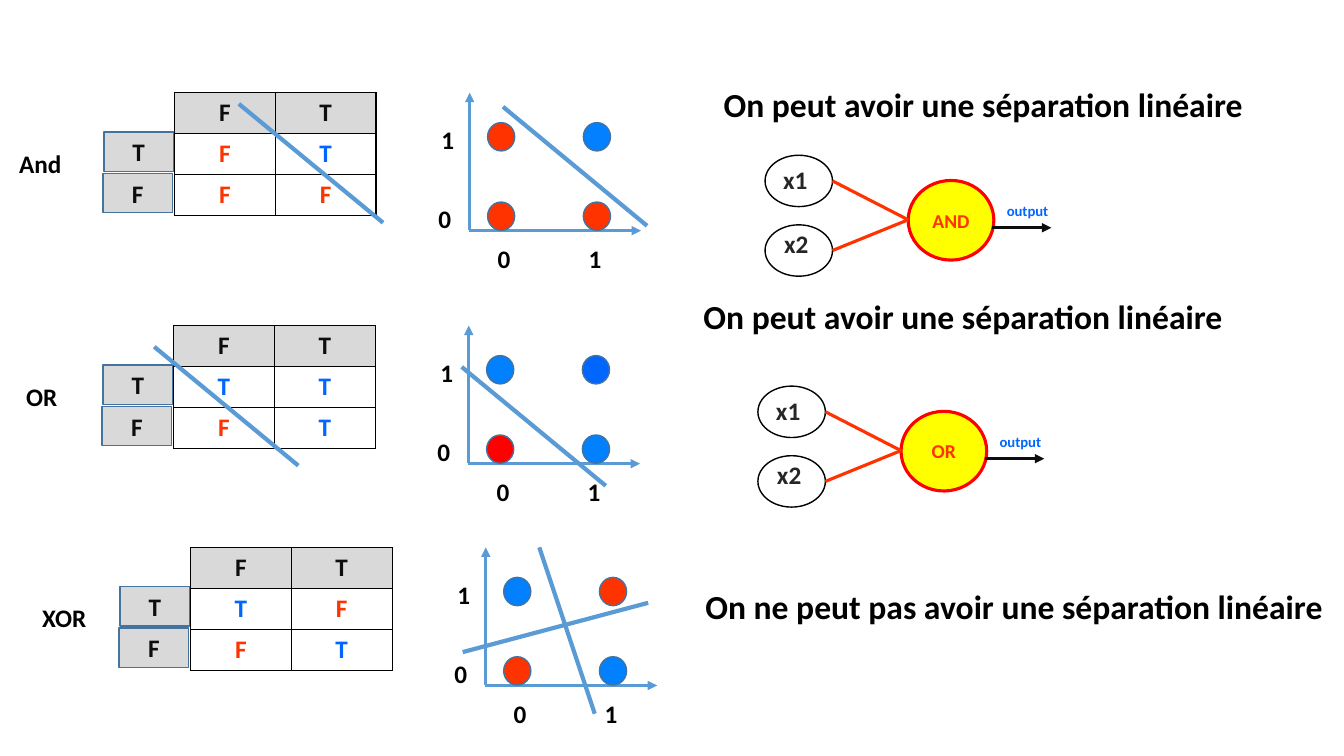
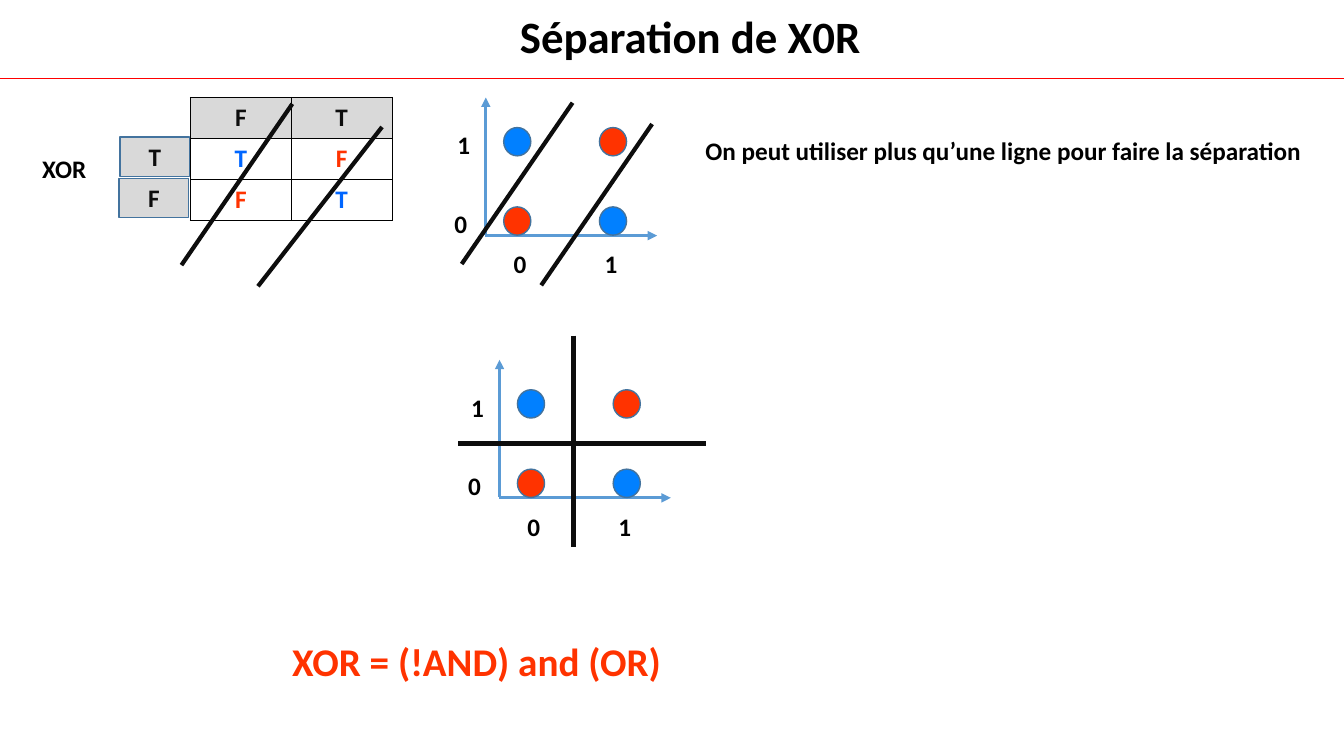
from dataclasses import dataclass, replace

from lxml import etree
from pptx import Presentation, util as u
from pptx.dml.color import RGBColor
from pptx.enum import shapes, text
from pptx.oxml.ns import qn

Point = tuple[float, float]
Cut = tuple[float, float, float, float]


@dataclass(frozen=True)
class Theme:
    font: str = "Calibri"
    black: str = "000000"
    ink: str = "0D0D0D"
    soft: str = "262626"
    grey: str = "D9D9D9"
    axis: str = "5B9BD5"
    edge: str = "43739E"
    blue: str = "0066FF"
    sky: str = "0180FF"
    orange: str = "FF3300"
    red: str = "FF0000"
    yellow: str = "FFFF00"
    title: float = 32
    rule: float = 28
    head: float = 24
    body: float = 18
    node: float = 14
    note: float = 10.5


T = Theme()
HUES = {"T": T.blue, "F": T.orange}
CENTER = text.PP_ALIGN.CENTER
OVAL = shapes.MSO_SHAPE.OVAL
RECT = shapes.MSO_SHAPE.RECTANGLE


@dataclass(frozen=True)
class Gate:
    """A logic gate; cells and dots run row by row from the top left."""
    name: str
    label: float
    table: Point
    plot: Point
    cells: str
    dots: tuple[str, ...]


@dataclass(frozen=True)
class Neuron:
    name: str
    x: float
    y: float


@dataclass(frozen=True)
class Note:
    words: str
    x: float
    y: float
    wide: float
    size: float = T.head
    hue: str = T.black


XOR_DOTS = (T.sky, T.orange, T.orange, T.sky)
GATES = (
    Gate("And", 6.5, (124.6, 66.2), (335.5, 66.2), "FTFF",
         (T.orange, T.sky, T.orange, T.orange)),
    Gate("OR", 11.5, (124, 232.6), (334.8, 232.6), "TTFT",
         (T.sky, T.blue, T.red, T.sky)),
    Gate("XOR", 23, (136.1, 391), (347, 391), "TFFT", XOR_DOTS),
)
NEURONS = (Neuron("AND", 546.5, 110.9), Neuron("OR", 541.4, 275.8))
HEADS = (
    Note("On peut avoir une séparation linéaire", 509.8, 56.2, 393),
    Note("On peut avoir une séparation linéaire", 495.4, 208, 463),
    Note("On ne peut pas avoir une séparation linéaire", 496.8, 414.7, 463),
)
GATE_CUTS = (
    (170.6, 74.2, 273.6, 159.1), (359.3, 76.3, 462.2, 161.3),
    (110.2, 247.7, 213.1, 332.6), (329.8, 262.1, 432.7, 347),
    (385.2, 391, 424.8, 509.8), (463, 430.6, 330.5, 465.8),
)
XOR_NOTES = (
    Note("On peut utiliser plus qu’une ligne pour faire la séparation",
         496.8, 92.9, 463, T.body),
    Note("XOR = (!AND) and (OR)", 201.6, 451.4, 335.5, T.rule, T.orange),
)
XOR_CUTS = (
    (409, 73.4, 329.8, 188.6), (465.8, 88.6, 386.6, 203.8),
    (208.8, 74.2, 129.6, 189.4), (272.9, 90.7, 184.3, 204.5),
    (504, 316.8, 326.9, 316.8), (409.7, 239.8, 409.7, 391),
)


def rgb(hue: str) -> RGBColor:
    return RGBColor.from_string(hue)


def write(frame, words: str, size: float, hue: str, align=None) -> None:
    para = frame.paragraphs[0]
    para.alignment = align
    run = para.add_run()
    run.text = words
    font = run.font
    font.name, font.size, font.bold = T.font, u.Pt(size), True
    font.color.rgb = rgb(hue)


def label(slide, words: str, x: float, y: float, wide: float, high: float,
          size: float = T.body, hue: str = T.black) -> None:
    box = slide.shapes.add_textbox(u.Pt(x), u.Pt(y), u.Pt(wide), u.Pt(high))
    box.text_frame.word_wrap = True
    write(box.text_frame, words, size, hue)


def draw_note(slide, note: Note) -> None:
    label(slide, note.words, note.x, note.y, note.wide,
          note.size * 1.2 + 7.2, note.size, note.hue)


def shape(slide, kind, x: float, y: float, wide: float, high: float,
          fill: str | None, edge: str = T.edge, width: float = 1):
    item = slide.shapes.add_shape(kind, u.Pt(x), u.Pt(y),
                                  u.Pt(wide), u.Pt(high))
    item.shadow.inherit = False
    if fill:
        item.fill.solid()
        item.fill.fore_color.rgb = rgb(fill)
    else:
        item.fill.background()
    item.line.color.rgb = rgb(edge)
    item.line.width = u.Pt(width)
    item.text_frame.word_wrap = False
    return item


def line(slide, cut: Cut, hue: str, width: float = 2.25,
         arrow: bool = False) -> None:
    item = slide.shapes.add_connector(
        shapes.MSO_CONNECTOR.STRAIGHT, *(u.Pt(value) for value in cut))
    item.line.color.rgb = rgb(hue)
    item.line.width = u.Pt(width)
    props = item.element.spPr
    if arrow:
        etree.SubElement(props.find(qn("a:ln")), qn("a:tailEnd"),
                         type="triangle")
    etree.SubElement(props, qn("a:effectLst"))


def border(cell) -> None:
    """Give all four sides of a cell a thin black line."""
    props = cell._tc.get_or_add_tcPr()
    for side in ("lnL", "lnR", "lnT", "lnB"):
        edge = etree.SubElement(props, qn(f"a:{side}"), w=str(u.Pt(1)))
        fill = etree.SubElement(edge, qn("a:solidFill"))
        etree.SubElement(fill, qn("a:srgbClr"), val=T.black)


def draw_table(slide, gate: Gate) -> None:
    x, y = gate.table
    wide, high = 72, 29.28
    grid = slide.shapes.add_table(3, 2, u.Pt(x), u.Pt(y), u.Pt(2 * wide),
                                  u.Pt(3 * high)).table
    grid.first_row = grid.horz_banding = False
    for row in grid.rows:
        row.height = u.Pt(high)
    for i, mark in enumerate("FT" + gate.cells):
        cell = grid.cell(*divmod(i, 2))
        border(cell)
        if i < 2:
            cell.fill.solid()
            cell.fill.fore_color.rgb = rgb(T.grey)
        else:
            cell.fill.background()
        write(cell.text_frame, mark, T.body,
              T.ink if i < 2 else HUES[mark], CENTER)
    for mark, dx, dy in (("T", -50.4, 28.1), ("F", -51.1, 57.6)):
        head = shape(slide, RECT, x + dx, y + dy, 49.7, 28.1, T.grey)
        write(head.text_frame, mark, T.body, T.ink, CENTER)
    label(slide, gate.name, gate.label, y + 36, 60, 28.8)


def draw_plot(slide, gate: Gate) -> None:
    x, y = gate.plot
    line(slide, (x - 0.7, y + 98.6, x + 122.4, y + 98.6), T.axis, arrow=True)
    for i, hue in enumerate(gate.dots):
        row, col = divmod(i, 2)
        shape(slide, OVAL, x + 12.8 + col * 68.4, y + 21.4 + row * 56.7,
              19.4, 20.2, hue)
    line(slide, (x, y + 98, x, y), T.axis, arrow=True)
    for mark, dx, dy in (("0", 12.8, 104.4), ("1", 77.8, 104.4),
                         ("0", -29.5, 75.6), ("1", -27.4, 19.4)):
        label(slide, mark, x + dx, y + dy, 26, 28.8)


def draw_neuron(slide, unit: Neuron) -> None:
    x, y = unit.x, unit.y
    wide, high, left = 48.2, 36.7, x + 102.2
    body = shape(slide, OVAL, left, y + 18, 61.2, 56.9,
                 T.yellow, T.red, 2.25)
    write(body.text_frame, unit.name, T.node, T.orange, CENTER)
    for i, (name, dx, dy) in enumerate((("x1", 5.8, 2.9),
                                        ("x2", 6.5, -0.7))):
        top = y + i * 49.7
        shape(slide, OVAL, x, top, wide, high, None, T.black)
        label(slide, name, x + dx, top + dy, 40, 28.8, hue=T.soft)
        line(slide, (x + wide, top + high / 2, left, y + 46.1), T.orange)
    line(slide, (x + 162, y + 51.8, x + 204.5, y + 51.8), T.ink, arrow=True)
    label(slide, "output", x + 165.6, y + 29.5, 50, 20.2, T.note, T.blue)


def gates_slide(deck) -> None:
    slide = deck.slides.add_slide(deck.slide_layouts[6])
    for gate in GATES:
        draw_table(slide, gate)
        draw_plot(slide, gate)
    for note in HEADS:
        draw_note(slide, note)
    for unit in NEURONS:
        draw_neuron(slide, unit)
    for cut in GATE_CUTS:
        line(slide, cut, T.axis, 3)


def xor_slide(deck) -> None:
    slide = deck.slides.add_slide(deck.slide_layouts[5])
    title = slide.shapes.title
    title.left, title.top = u.Pt(98.6), u.Pt(2.2)
    title.width, title.height = u.Pt(789), u.Pt(46)
    write(title.text_frame, "Séparation de X0R", T.title, T.black, CENTER)
    line(slide, (0, 56.2, 960, 56.2), T.red, 0.5)
    gate = replace(GATES[2], table=(136.1, 69.7), plot=(347, 69.7))
    draw_table(slide, gate)
    draw_plot(slide, gate)
    draw_plot(slide, replace(gate, plot=(356.8, 257)))
    for note in XOR_NOTES:
        draw_note(slide, note)
    for cut in XOR_CUTS:
        line(slide, cut, T.ink, 3)


def main() -> None:
    deck = Presentation()
    deck.slide_width, deck.slide_height = u.Pt(960), u.Pt(540)
    gates_slide(deck)
    xor_slide(deck)
    deck.save("out.pptx")


if __name__ == "__main__":
    main()
